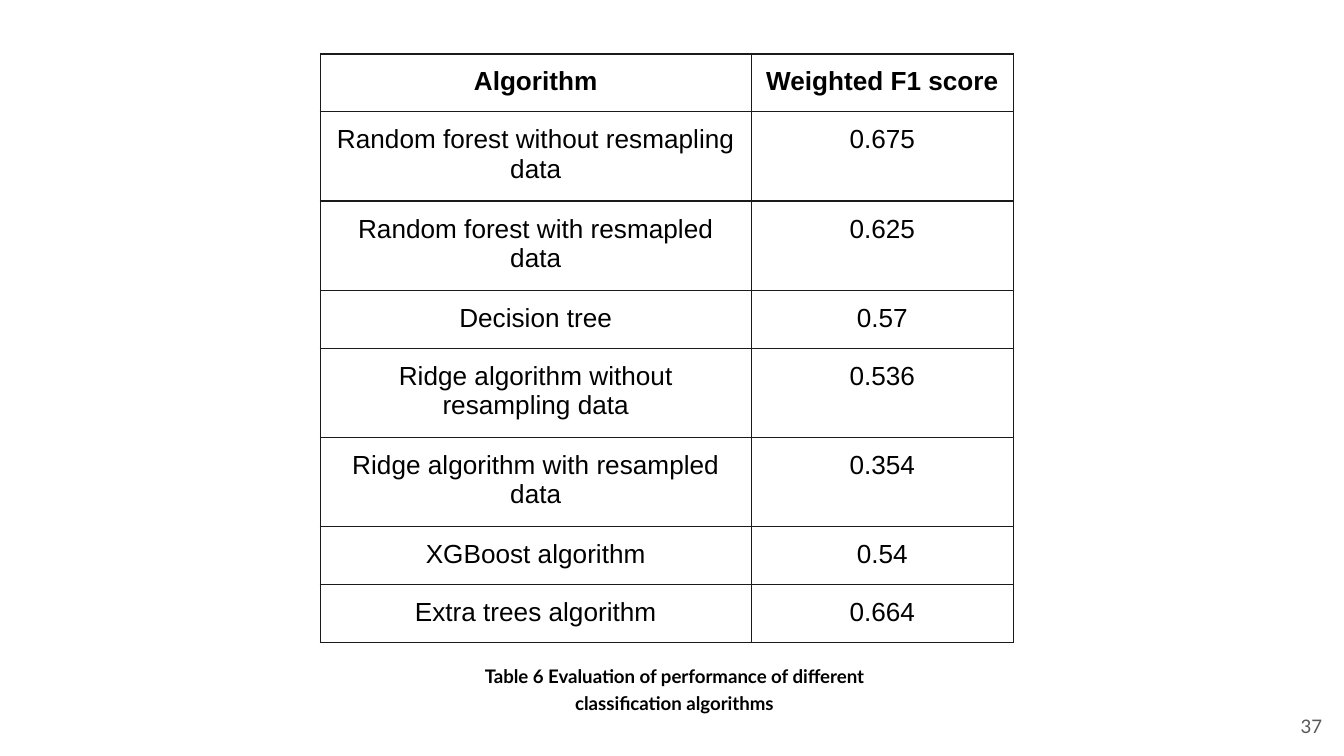
import pptx
import pptx.dml.color
import pptx.enum.text
import pptx.oxml
import pptx.oxml.ns
import pptx.util

Cm = pptx.util.Cm
Pt = pptx.util.Pt
ALIGN = pptx.enum.text.PP_ALIGN
INSET = Cm(0.25)
ONE_LINE, TWO_LINES = Cm(1.06), Cm(1.62)


def add_span(para, text, font, size, color, bold=False):
    span = para.add_run()
    span.text = text
    span.font.name = font
    span.font.size = Pt(size)
    span.font.bold = bold
    span.font.color.rgb = pptx.dml.color.RGBColor.from_string(color)


def add_text_box(page, left, top, width, height):
    box = page.shapes.add_textbox(Cm(left), Cm(top), Cm(width), Cm(height))
    frame = box.text_frame
    frame.word_wrap = True
    frame.margin_left = frame.margin_right = INSET
    frame.margin_top = frame.margin_bottom = INSET
    return frame


deck = pptx.Presentation()
deck.slide_width, deck.slide_height = Cm(25.4), Cm(14.29)
page = deck.slides.add_slide(deck.slide_layouts[6])

# Page number
number = add_text_box(page, 23.72, 13.18, 1.52, 1.09)
number.vertical_anchor = pptx.enum.text.MSO_ANCHOR.MIDDLE
number.paragraphs[0].alignment = ALIGN.RIGHT
add_span(number.paragraphs[0], "37", "Lato", 10, "595959")

# Table of scores
rows = [
    ("Algorithm", "Weighted F1 score", ONE_LINE),
    ("Random forest without resmapling data", "0.675", TWO_LINES),
    ("Random forest with resmapled data", "0.625", TWO_LINES),
    ("Decision tree", "0.57", ONE_LINE),
    ("Ridge algorithm without resampling data", "0.536", TWO_LINES),
    ("Ridge algorithm with resampled data", "0.354", TWO_LINES),
    ("XGBoost algorithm", "0.54", ONE_LINE),
    ("Extra trees algorithm", "0.664", ONE_LINE),
]
table_height = sum(height for _, _, height in rows)
scores = page.shapes.add_table(
    len(rows), 2, Cm(6.05), Cm(1.02), Cm(13.1), table_height).table
scores.columns[0].width = Cm(8.15)
scores.columns[1].width = Cm(4.95)
scores.horz_banding = False

for r, (algorithm, score, height) in enumerate(rows):
    scores.rows[r].height = height
    for c, text in enumerate((algorithm, score)):
        cell = scores.cell(r, c)
        cell.margin_left = cell.margin_right = INSET
        cell.margin_top = cell.margin_bottom = INSET
        para = cell.text_frame.paragraphs[0]
        para.alignment = ALIGN.CENTER
        add_span(para, text, "Arial", 14, "000000", bold=r == 0)
        for side in ("lnL", "lnR", "lnT", "lnB"):
            cell._tc.get_or_add_tcPr().append(pptx.oxml.parse_xml(
                f'<a:{side} {pptx.oxml.ns.nsdecls("a")} w="{Pt(0.75)}">'
                f'<a:solidFill><a:srgbClr val="1A1A1A"/></a:solidFill></a:{side}>'))
        cell.fill.background()

# Caption
caption = add_text_box(page, 8.43, 12.24, 8.33, 1.45)
para = caption.paragraphs[0]
para.alignment = ALIGN.CENTER
para.line_spacing = 1.2
para._p.get_or_add_pPr().set("marL", str(Cm(0.3)))
add_span(para, "Table 6 Evaluation of performance of different classification algorithms",
         "Lato", 10, "000000", bold=True)

deck.save("out.pptx")
